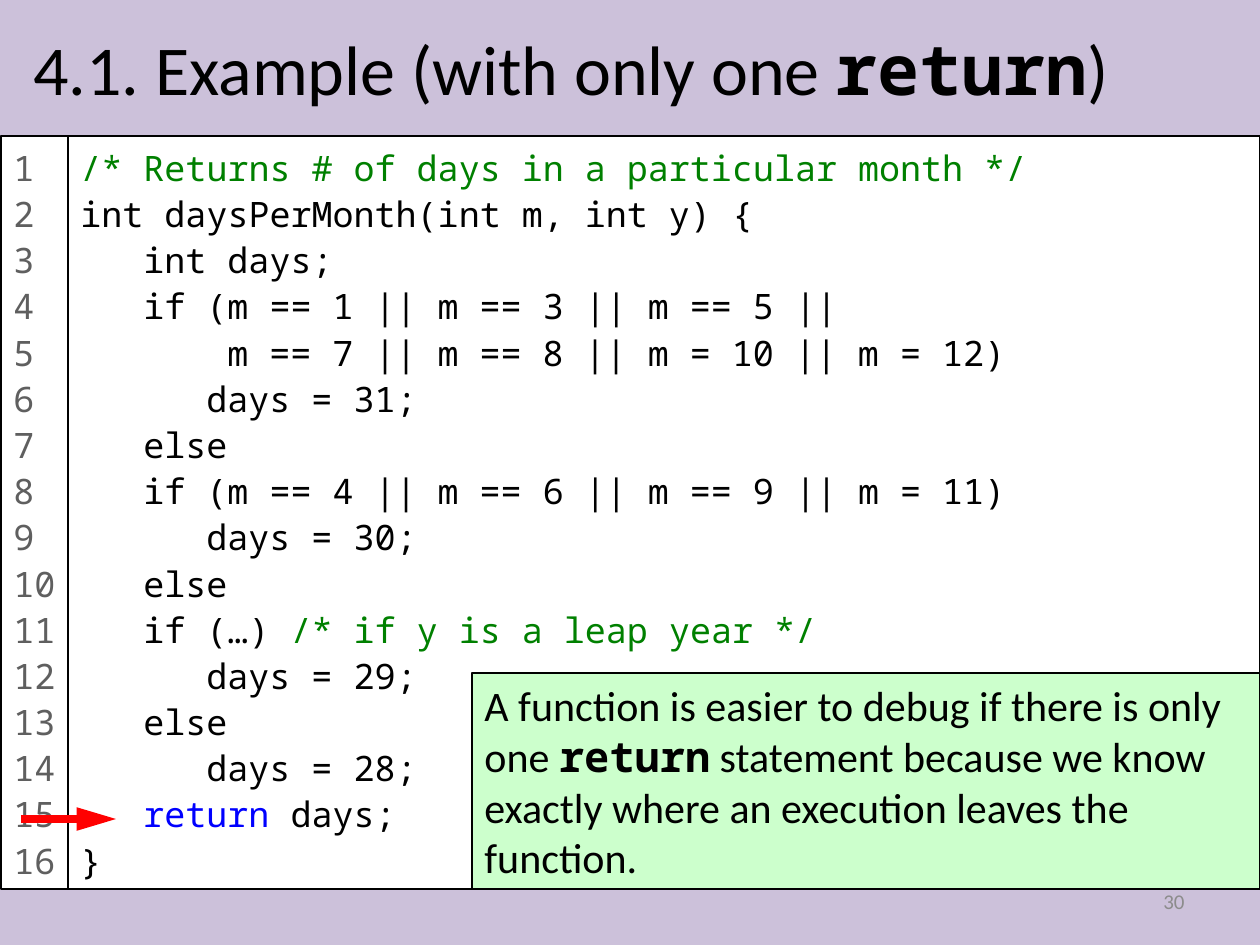
import pptx
import pptx.util
import pptx.dml.color
import pptx.enum.shapes
import pptx.enum.text
import pptx.oxml.ns
import lxml.etree

PX = 914400 / 126
SANS, MONO = "Calibri", "Noto Sans Mono"
BLACK, GREEN, BLUE = "000000", "008000", "0000FF"
COLUMN = 21  # width of one code character
CODE_LEADING = 26.4

# Each code line: indent in characters, then its runs as (text, colour)
CODE = [
    (0, [("/* Returns # of days in a particular month */", GREEN)]),
    (0, [("int daysPerMonth(int m, int y) {", BLACK)]),
    (3, [("int days;", BLACK)]),
    (3, [("if (m == 1 || m == 3 || m == 5 ||", BLACK)]),
    (7, [("m == 7 || m == 8 || m = 10 || m = 12)", BLACK)]),
    (6, [("days = 31;", BLACK)]),
    (3, [("else", BLACK)]),
    (3, [("if (m == 4 || m == 6 || m == 9 || m = 11)", BLACK)]),
    (6, [("days = 30;", BLACK)]),
    (3, [("else", BLACK)]),
    (3, [("if (…) ", BLACK), ("/* if y is a leap year */", GREEN)]),
    (6, [("days = 29;", BLACK)]),
    (3, [("else", BLACK)]),
    (6, [("days = 28;", BLACK)]),
    (3, [("return", BLUE), (" days;", BLACK)]),
    (0, [("}", BLACK)]),
]


def px(length):
    return pptx.util.Emu(round(length * PX))


def colour(value):
    return pptx.dml.color.RGBColor.from_string(value)


def add_text(paragraph, text, font=SANS, size=20, color=BLACK, bold=False):
    run = paragraph.add_run()
    run.text = text
    run.font.name = font
    run.font.size = pptx.util.Pt(size)
    run.font.color.rgb = colour(color)
    run.font.bold = bold


def add_box(slide, box, fill, outlined=True):
    shape = slide.shapes.add_shape(
        pptx.enum.shapes.MSO_SHAPE.RECTANGLE, *map(px, box))
    shape.shadow.inherit = False
    shape.fill.solid()
    shape.fill.fore_color.rgb = colour(fill)
    if outlined:
        shape.line.color.rgb = colour(BLACK)
        shape.line.width = pptx.util.Pt(0.75)
    else:
        shape.line.fill.background()
    frame = shape.text_frame
    frame.word_wrap = True
    frame.vertical_anchor = pptx.enum.text.MSO_ANCHOR.TOP
    return frame


def add_label(slide, box):
    frame = slide.shapes.add_textbox(*map(px, box)).text_frame
    frame.word_wrap = True
    frame.vertical_anchor = pptx.enum.text.MSO_ANCHOR.MIDDLE
    return frame.paragraphs[0]


def add_line(frame, index, indent=0):
    paragraph = frame.paragraphs[0] if index == 0 else frame.add_paragraph()
    paragraph.alignment = pptx.enum.text.PP_ALIGN.LEFT
    paragraph.line_spacing = pptx.util.Pt(CODE_LEADING)
    if indent:
        properties = paragraph._p.get_or_add_pPr()
        properties.set("marL", str(px(indent * COLUMN)))
        properties.set("indent", "0")
    return paragraph


def add_title(slide, box):
    paragraph = add_label(slide, box)
    add_text(paragraph, "4.1. Example (with only one ", size=40)
    add_text(paragraph, "return", font=MONO, size=40, bold=True)
    add_text(paragraph, ")", size=40)


def add_listing(slide, box, gutter):
    left, top, width, height = box
    # Line numbers
    numbers = add_box(slide, (left, top, gutter, height), "FFFFFF")
    numbers.word_wrap = False
    for index in range(len(CODE)):
        add_text(add_line(numbers, index), str(index + 1),
                 font=MONO, color="5F5F5F")
    # Code
    code = add_box(slide, (left + gutter, top, width - gutter, height), "FFFFFF")
    for index, (indent, runs) in enumerate(CODE):
        paragraph = add_line(code, index, indent)
        for text, color in runs:
            add_text(paragraph, text, font=MONO, color=color)


def add_callout(slide, box):
    paragraph = add_box(slide, box, "CCFFCC").paragraphs[0]
    paragraph.alignment = pptx.enum.text.PP_ALIGN.LEFT
    paragraph.line_spacing = pptx.util.Pt(29)
    add_text(paragraph, "A function is easier to debug if there is only one ", size=24)
    add_text(paragraph, "return", font=MONO, size=24, bold=True)
    add_text(paragraph, " statement because we know exactly where an execution "
             "leaves the function.", size=24)


def add_arrow(slide, left, right, y):
    arrow = slide.shapes.add_connector(
        pptx.enum.shapes.MSO_CONNECTOR.STRAIGHT, px(left), px(y), px(right), px(y))
    arrow.line.color.rgb = colour("FF0000")
    arrow.line.width = pptx.util.Pt(4.5)
    qn = pptx.oxml.ns.qn
    head = lxml.etree.SubElement(arrow.line._get_or_add_ln(), qn("a:tailEnd"))
    head.set("type", "triangle")
    head.set("len", "lg")
    lxml.etree.SubElement(arrow._element.spPr, qn("a:effectLst"))


def add_page_number(slide, box):
    paragraph = add_label(slide, box)
    paragraph.alignment = pptx.enum.text.PP_ALIGN.RIGHT
    add_text(paragraph, "30", size=12, color="8C8C8C")


def main():
    presentation = pptx.Presentation()
    presentation.slide_width = px(1260)
    presentation.slide_height = px(945)
    slide = presentation.slides.add_slide(presentation.slide_layouts[6])
    # Header and footer bands
    for band in ((0, 0, 1260, 136), (0, 861, 1260, 84)):
        add_box(slide, band, "CCC1DA", outlined=False)
    add_page_number(slide, (903, 876, 294, 50))
    add_title(slide, (21, 10, 1218, 116))
    add_listing(slide, (1, 136, 1259, 753), 67)
    add_callout(slide, (472, 673, 788, 216))
    add_arrow(slide, 21, 116, 819)
    presentation.save("out.pptx")


if __name__ == "__main__":
    main()
